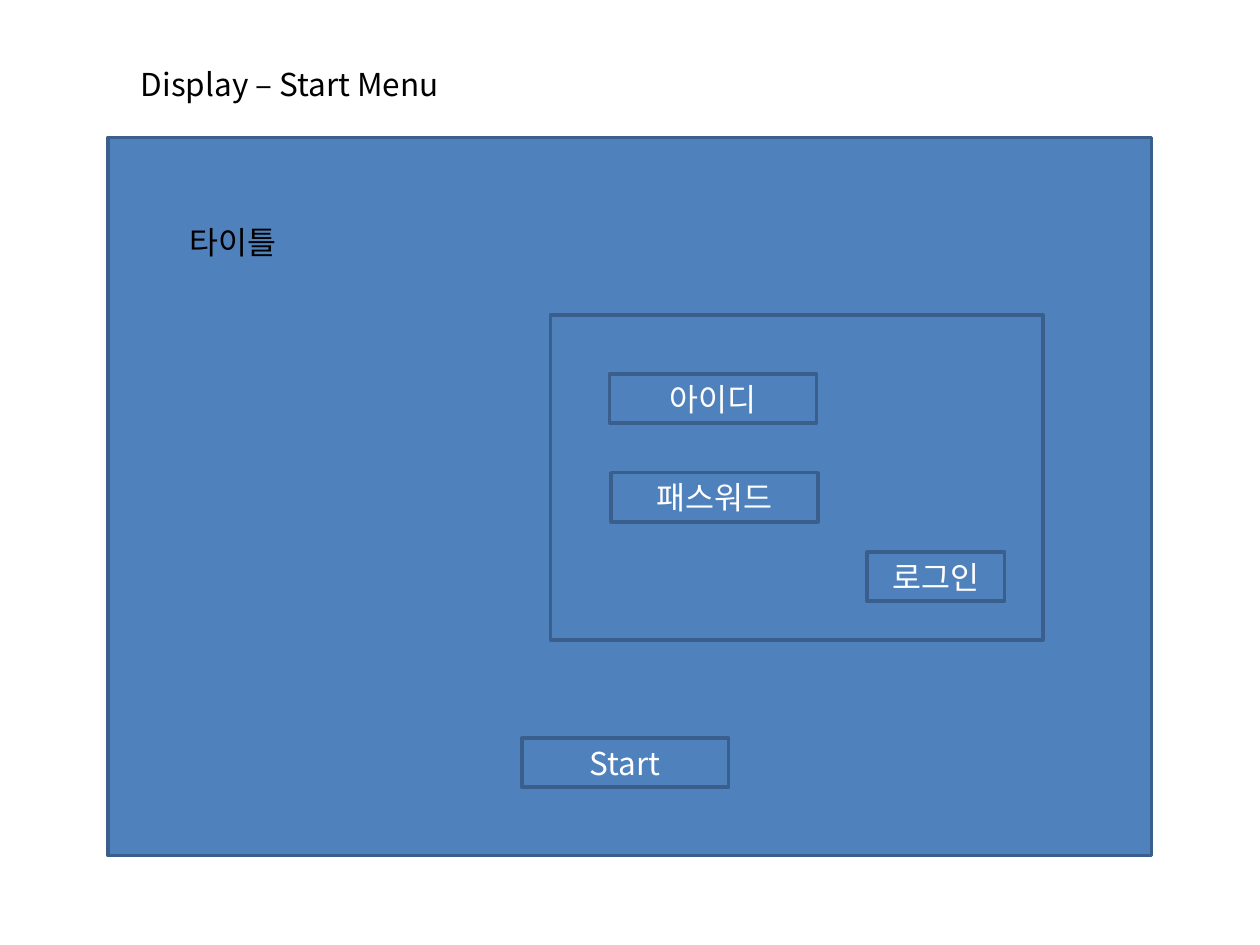
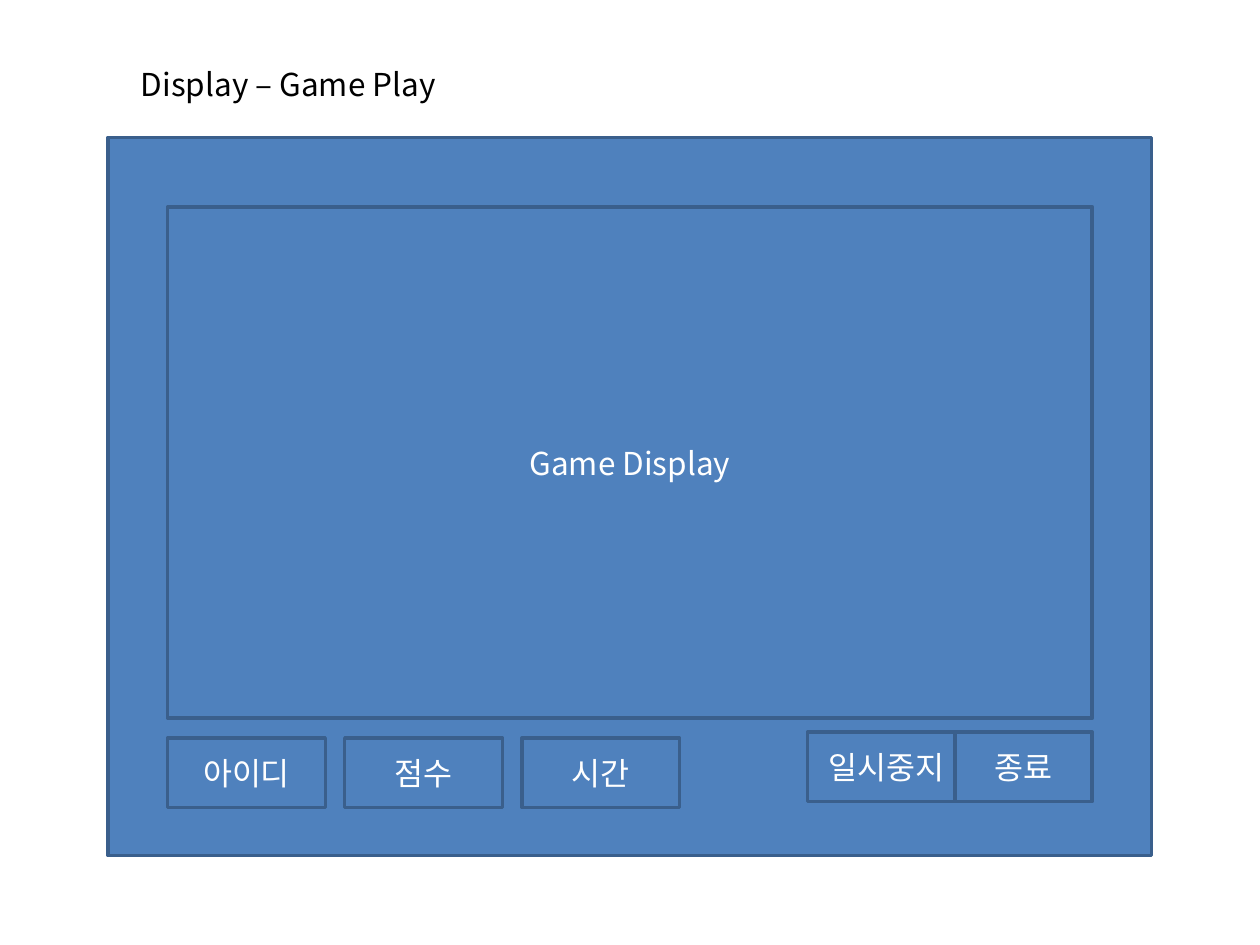
from dataclasses import dataclass

import pptx
import pptx.dml.color
import pptx.enum.shapes
import pptx.enum.text
import pptx.oxml
import pptx.oxml.ns
import pptx.util
from pptx.util import Cm

BLACK = pptx.dml.color.RGBColor(0x00, 0x00, 0x00)
WHITE = pptx.dml.color.RGBColor(0xFF, 0xFF, 0xFF)
PANEL_BLUE = pptx.dml.color.RGBColor(0x4F, 0x81, 0xBD)
BORDER_BLUE = pptx.dml.color.RGBColor(0x3A, 0x5F, 0x8C)
FONT = "Noto Sans CJK KR"
BLANK_LAYOUT = 6


@dataclass(frozen=True)
class Panel:
    left: float
    top: float
    width: float
    height: float
    text: str = ""


SCREEN = Panel(2.18, 2.77, 21.03, 14.48)
FIELD_WIDTH, FIELD_HEIGHT = 4.17, 0.99
STATUS_WIDTH, STATUS_HEIGHT, STATUS_STEP = 3.18, 1.4, 3.57
ACTION_WIDTH, ACTION_TOP = 2.77, 14.76

START_PANELS = [
    Panel(11.1, 6.35, 9.93, 6.55),
    Panel(12.29, 7.54, FIELD_WIDTH, FIELD_HEIGHT, "아이디"),
    Panel(17.48, 11.13, ACTION_WIDTH, FIELD_HEIGHT, "로그인"),
    Panel(12.32, 9.53, FIELD_WIDTH, FIELD_HEIGHT, "패스워드"),
    Panel(10.52, 14.88, FIELD_WIDTH, FIELD_HEIGHT, "Start"),
]
GAME_AREA = Panel(3.38, 4.17, 18.64, 10.31, "Game Display")
STATUS_PANELS = [
    Panel(GAME_AREA.left + index * STATUS_STEP, 14.88, STATUS_WIDTH, STATUS_HEIGHT, text)
    for index, text in enumerate(["아이디", "점수", "시간"])
]
ACTION_PANELS = [
    Panel(16.28, ACTION_TOP, STATUS_WIDTH, STATUS_HEIGHT, "일시중지"),
    Panel(19.25, ACTION_TOP, ACTION_WIDTH, STATUS_HEIGHT, "종료"),
]


def write_text(frame, text: str, *, color=BLACK, align=pptx.enum.text.PP_ALIGN.LEFT,
               anchor=pptx.enum.text.MSO_ANCHOR.TOP) -> None:
    frame.word_wrap = True
    frame.vertical_anchor = anchor
    para = frame.paragraphs[0]
    para.alignment = align
    span = para.add_run()
    span.text = text
    span.font.name = FONT
    span.font.size = pptx.util.Pt(18)
    span.font.color.rgb = color
    east_asian = pptx.oxml.parse_xml(
        f'<a:ea {pptx.oxml.ns.nsdecls("a")} typeface="{FONT}"/>')
    span.font._element.find(pptx.oxml.ns.qn("a:latin")).addnext(east_asian)


def add_panel(shapes, panel: Panel) -> None:
    box = shapes.add_shape(
        pptx.enum.shapes.MSO_SHAPE.RECTANGLE,
        Cm(panel.left), Cm(panel.top), Cm(panel.width), Cm(panel.height))
    box.shadow.inherit = False
    box.fill.solid()
    box.fill.fore_color.rgb = PANEL_BLUE
    box.line.color.rgb = BORDER_BLUE
    box.line.width = pptx.util.Pt(2)
    if panel.text:
        write_text(box.text_frame, panel.text, color=WHITE,
                   align=pptx.enum.text.PP_ALIGN.CENTER,
                   anchor=pptx.enum.text.MSO_ANCHOR.MIDDLE)


def add_label(shapes, label: Panel) -> None:
    box = shapes.add_textbox(
        Cm(label.left), Cm(label.top), Cm(label.width), Cm(label.height))
    write_text(box.text_frame, label.text)
    box.text_frame.auto_size = pptx.enum.text.MSO_AUTO_SIZE.SHAPE_TO_FIT_TEXT


def add_page(deck, title: str):
    page = deck.slides.add_slide(deck.slide_layouts[BLANK_LAYOUT])
    add_label(page.shapes, Panel(2.59, 1.19, 14.88, 1.02, f"Display – {title}"))
    return page


def build_start_menu(deck) -> None:
    page = add_page(deck, "Start Menu")
    screen = page.shapes.add_group_shape()
    add_panel(screen.shapes, SCREEN)
    add_label(screen.shapes, Panel(3.58, 4.37, 8.94, 1.02, "타이틀"))
    for panel in START_PANELS:
        add_panel(screen.shapes, panel)


def build_game_play(deck) -> None:
    page = add_page(deck, "Game Play")
    for panel in [SCREEN, GAME_AREA, *STATUS_PANELS, *ACTION_PANELS]:
        add_panel(page.shapes, panel)


def main() -> None:
    deck = pptx.Presentation()
    deck.slide_width = Cm(25.4)
    deck.slide_height = Cm(19.05)
    build_start_menu(deck)
    build_game_play(deck)
    deck.save("out.pptx")


if __name__ == "__main__":
    main()
